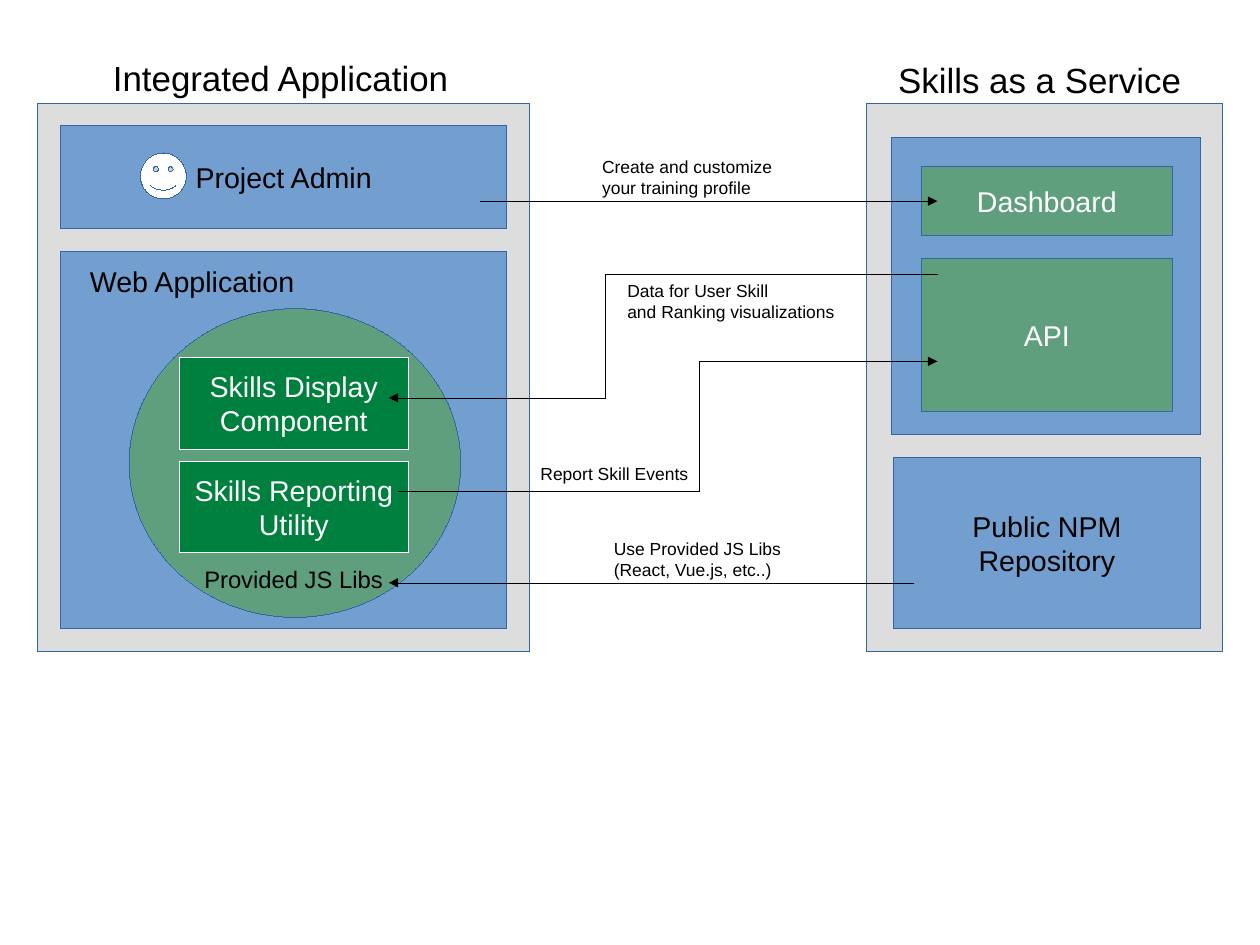
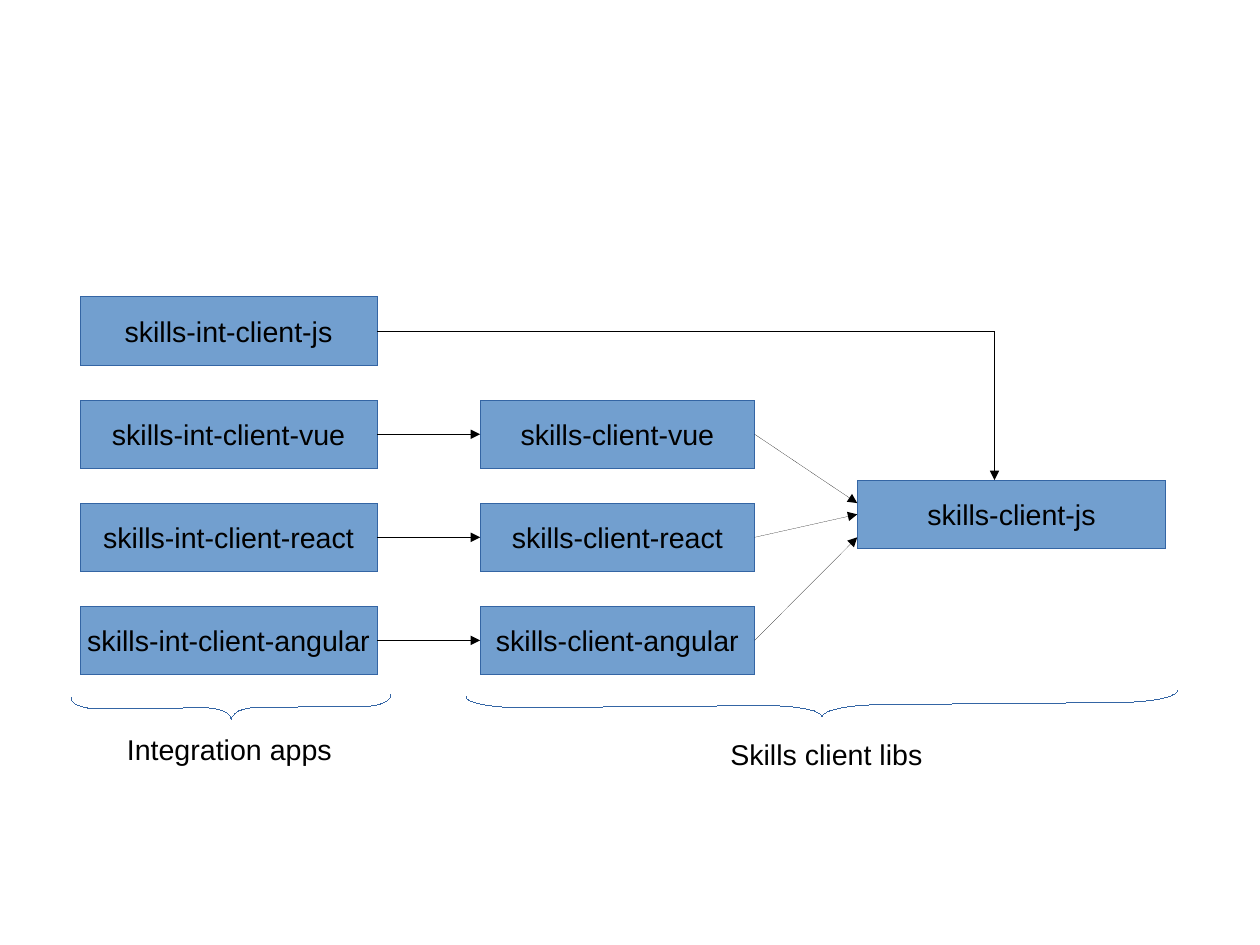
from itertools import pairwise

from pptx import Presentation
from pptx.dml.color import RGBColor
from pptx.enum.shapes import MSO_CONNECTOR as Wire, MSO_SHAPE as Kind
from pptx.enum.text import MSO_ANCHOR as Anchor, MSO_AUTO_SIZE as Size, PP_ALIGN as Align
from pptx.oxml.ns import qn
from pptx.util import Cm, Pt
from lxml.etree import SubElement as add_sub

FONT = "Arial"
BLACK = RGBColor(0x00, 0x00, 0x00)
WHITE = RGBColor(0xFF, 0xFF, 0xFF)
GREY = RGBColor(0xDD, 0xDD, 0xDD)
BLUE = RGBColor(0x72, 0x9F, 0xCF)
EDGE = RGBColor(0x34, 0x65, 0xA4)
SAGE = RGBColor(0x5F, 0x9F, 0x7E)
GREEN = RGBColor(0x00, 0x80, 0x3F)

HAIR = Pt(0.01)
LEFT, RIGHT = 1, 3
ROW = 1.52


def write(frame, text, size, color, align):
    frame.text = text
    for para in frame.paragraphs:
        para.alignment = align
        for run in para.runs:
            run.font.name = FONT
            run.font.size = Pt(size)
            run.font.color.rgb = color


def shape(slide, kind, at, fill=None, edge=EDGE):
    item = slide.shapes.add_shape(kind, *map(Cm, at))
    item.shadow.inherit = False
    if fill is None:
        item.fill.background()
    else:
        item.fill.solid()
        item.fill.fore_color.rgb = fill
    item.line.color.rgb = edge
    item.line.width = HAIR
    return item


def box(slide, at, fill, text="", color=BLACK, edge=EDGE):
    item = shape(slide, Kind.RECTANGLE, at, fill, edge)
    if text:
        frame = item.text_frame
        frame.word_wrap = False
        frame.vertical_anchor = Anchor.MIDDLE
        write(frame, text, 18, color, Align.CENTER)
    return item


def label(slide, at, text, size=18):
    frame = slide.shapes.add_textbox(*map(Cm, at)).text_frame
    frame.word_wrap = True
    frame.auto_size = Size.SHAPE_TO_FIT_TEXT
    write(frame, text, size, BLACK, Align.LEFT)


def wire(slide, points, start=None, end=None):
    lines = []
    for here, there in pairwise(points):
        line = slide.shapes.add_connector(Wire.STRAIGHT, *map(Cm, here + there))
        line.line.color.rgb = BLACK
        line.line.width = HAIR
        add_sub(line.element.spPr, qn("a:effectLst"))
        lines.append(line)
    if start is not None:
        lines[0].begin_connect(start, RIGHT)
    if end is not None:
        lines[-1].end_connect(end, LEFT)
    stroke = lines[-1].element.spPr.find(qn("a:ln"))
    add_sub(stroke, qn("a:tailEnd"), type="triangle")


def brace(slide, x, y, wide, high):
    item = shape(slide, Kind.RIGHT_BRACE, (x, y, wide, high))
    item.adjustments[0] = high / wide / 12
    item.rotation = 89.5


def draw_flow(slide):
    box(slide, (19.25, 2.3, 7.92, 12.19), GREY)
    box(slide, (19.81, 3.05, 6.86, 6.6), BLUE)
    box(slide, (20.47, 3.71, 5.59, ROW), SAGE, "Dashboard", WHITE)
    box(slide, (20.47, 5.74, 5.59, 3.4), SAGE, "API", WHITE)
    box(slide, (19.86, 10.16, 6.81, 3.81), BLUE, "Public NPM\nRepository")

    box(slide, (0.84, 2.29, 10.92, 12.19), GREY)
    box(slide, (1.35, 2.79, 9.91, 2.29), BLUE, "Project Admin")
    shape(slide, Kind.SMILEY_FACE, (3.12, 3.4, 1.02, 1.02), WHITE)
    box(slide, (1.35, 5.59, 9.91, 8.38), BLUE)
    shape(slide, Kind.OVAL, (2.87, 6.86, 7.37, 6.86), SAGE)
    for y, text in ((7.95, "Skills Display\nComponent"),
                    (10.26, "Skills Reporting\nUtility")):
        box(slide, (3.99, y, 5.08, 2.03), GREEN, text, WHITE, WHITE)

    label(slide, (1.75, 5.74, 5.6, 0.97), "Web Application")
    label(slide, (4.29, 12.42, 5.26, 0.97), "Provided JS Libs", 15)
    label(slide, (2.26, 1.14, 9.14, 1.14), "Integrated Application", 22)
    label(slide, (19.71, 1.17, 7.16, 1.14), "Skills as a Service", 22)

    for points in (
        ((10.67, 4.47), (20.83, 4.47)),
        ((20.83, 6.1), (13.46, 6.1), (13.46, 8.84), (8.64, 8.84)),
        ((8.86, 10.92), (15.54, 10.92), (15.54, 8.03), (20.83, 8.03)),
        ((20.32, 12.95), (8.64, 12.95)),
    ):
        wire(slide, points)

    for at, text in (
        ((13.13, 3.35, 5, 1.12), "Create and customize\nyour training profile"),
        ((13.39, 11.84, 4.8, 1.12), "Use Provided JS Libs\n(React, Vue.js, etc..)"),
        ((11.76, 10.16, 3.95, 0.69), "Report Skill Events"),
        ((13.69, 6.1, 5.5, 1.12), "Data for User Skill\nand Ranking visualizations"),
    ):
        label(slide, at, text, 11)


def draw_libs(slide):
    top, step = 6.6, 2.29
    app_x, app_w = 1.78, 6.6
    lib_x, lib_w = 10.67, 6.1
    core_x, core_y = 19.05, 10.67
    app_end, lib_end = app_x + app_w, lib_x + lib_w

    core = box(slide, (core_x, core_y, 6.86, ROW), BLUE, "skills-client-js")
    first = box(slide, (app_x, top, app_w, ROW), BLUE, "skills-int-client-js")
    mid = top + ROW / 2
    wire(slide, ((app_end, mid), (22.1, mid), (22.1, core_y)), first)

    targets = (("vue", 11.18, None), ("react", 11.43, core), ("angular", 11.94, None))
    for row, (name, goal, end) in enumerate(targets, 1):
        y = top + row * step
        mid = y + ROW / 2
        app = box(slide, (app_x, y, app_w, ROW), BLUE, f"skills-int-client-{name}")
        lib = box(slide, (lib_x, y, lib_w, ROW), BLUE, f"skills-client-{name}")
        wire(slide, ((app_end, mid), (lib_x, mid)), app, lib)
        wire(slide, ((lib_end, mid), (core_x, goal)), lib, end)

    brace(slide, 4.88, 12.17, 0.51, 7.11)
    brace(slide, 18.01, 7.77, 0.51, 15.8)
    label(slide, (2.57, 16.15, 5.6, 0.97), "Integration apps")
    label(slide, (15.98, 16.26, 5.3, 0.97), "Skills client libs")


def main():
    deck = Presentation()
    deck.slide_width = Cm(28)
    deck.slide_height = Cm(21)
    blank = deck.slide_layouts[6]
    for draw in (draw_flow, draw_libs):
        draw(deck.slides.add_slide(blank))
    deck.save("out.pptx")


if __name__ == "__main__":
    main()
